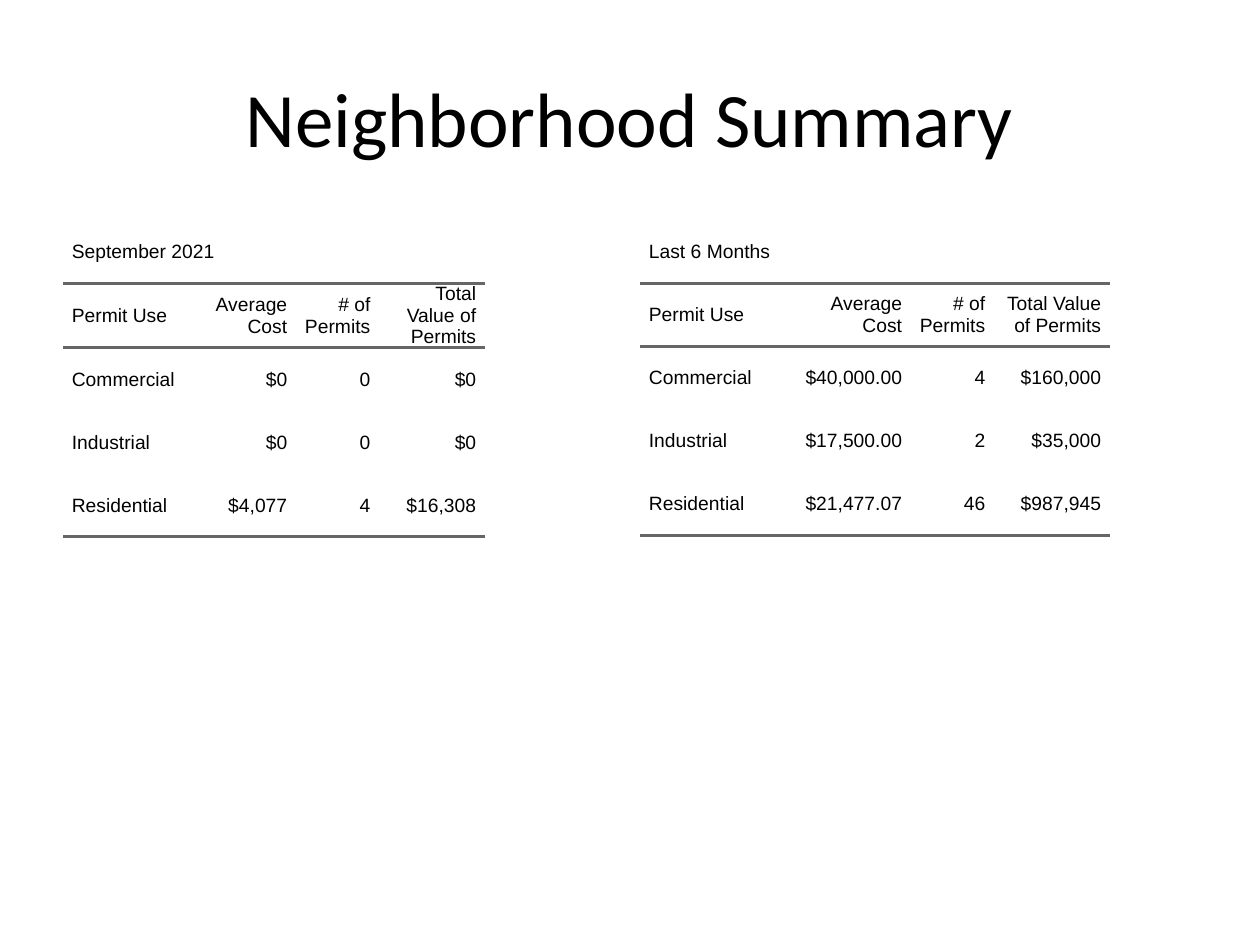
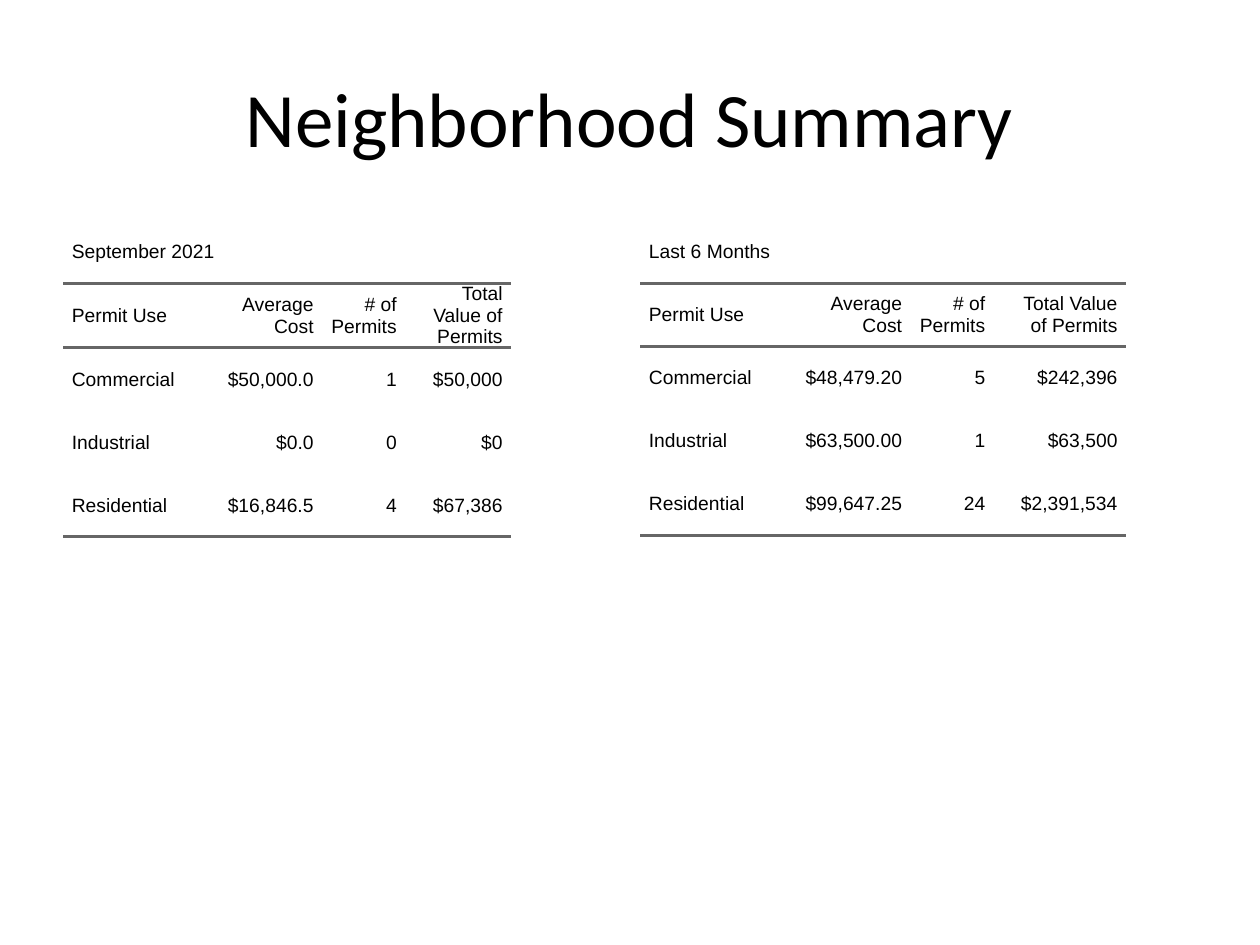
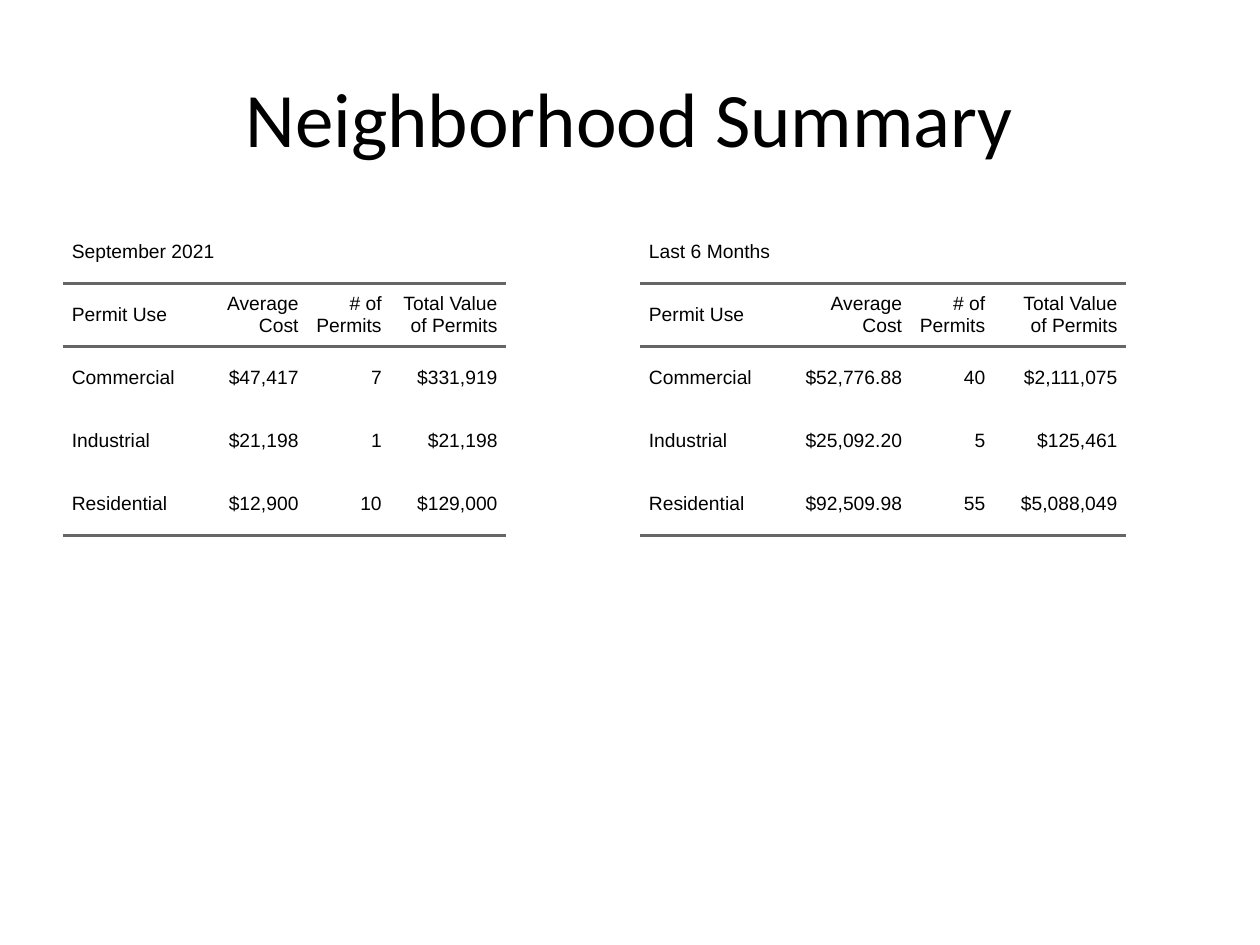
"""Build three neighborhood permit summaries, each with a monthly and a six-month table."""
from lxml import etree
from pptx import Presentation
from pptx.dml.color import RGBColor
from pptx.enum.text import MSO_ANCHOR, PP_ALIGN
from pptx.oxml.ns import qn
from pptx.util import Inches, Pt

LEFT, CENTER, RIGHT = PP_ALIGN.LEFT, PP_ALIGN.CENTER, PP_ALIGN.RIGHT
MIDDLE = MSO_ANCHOR.MIDDLE
BLACK = RGBColor(0x00, 0x00, 0x00)
RULE_GRAY = RGBColor(0x66, 0x66, 0x66)
NO_STYLE = "{2D5ABB26-0587-4C30-8999-92F81FD0307C}"

TITLE_BOX = {"left": Inches(0.5), "top": Inches(0.3), "width": Inches(9), "height": Inches(1.25)}
TITLE_FONT = {"name": "Calibri", "size": Pt(44)}
CELL_FONT = {"name": "Arial", "size": Pt(11)}
CELL_FORMAT = {"margin_left": 0, "margin_right": 0, "margin_top": 0, "margin_bottom": 0,
               "vertical_anchor": MIDDLE}
TABLE_FLAGS = {"first_row": False, "horz_banding": False}
TABLE_TOP = Inches(1.75)
FRAME_SIZE = {"width": Inches(4.42), "height": Inches(4.95)}
ROW_HEIGHT = Inches(0.5)
CELL_INDENT = Inches(0.07)
RULE_WIDTH = Pt(2)

PERIODS = [("September 2021", 0.5), ("Last 6 Months", 5.08)]
HEADINGS = ["Permit Use", "Average Cost", "# of Permits", "Total Value of Permits"]
USES = ["Commercial", "Industrial", "Residential"]
ROW_RULES = {1: ["a:lnT", "a:lnB"], 4: ["a:lnB"]}

NEIGHBORHOODS = [
    [
        ([1.1, 0.75, 0.66, 0.84],
         [("$0", "0", "$0"), ("$0", "0", "$0"), ("$4,077", "4", "$16,308")]),
        ([1.1, 1.05, 0.66, 0.92],
         [("$40,000.00", "4", "$160,000"), ("$17,500.00", "2", "$35,000"),
          ("$21,477.07", "46", "$987,945")]),
    ],
    [
        ([1.1, 0.96, 0.66, 0.84],
         [("$50,000.0", "1", "$50,000"), ("$0.0", "0", "$0"), ("$16,846.5", "4", "$67,386")]),
        ([1.1, 1.05, 0.66, 1.05],
         [("$48,479.20", "5", "$242,396"), ("$63,500.00", "1", "$63,500"),
          ("$99,647.25", "24", "$2,391,534")]),
    ],
    [
        ([1.1, 0.84, 0.66, 0.92],
         [("$47,417", "7", "$331,919"), ("$21,198", "1", "$21,198"),
          ("$12,900", "10", "$129,000")]),
        ([1.1, 1.05, 0.66, 1.05],
         [("$52,776.88", "40", "$2,111,075"), ("$25,092.20", "5", "$125,461"),
          ("$92,509.98", "55", "$5,088,049")]),
    ],
]


def set_attributes(target, values):
    for name, value in values.items():
        setattr(target, name, value)


def format_cell(cell, text, alignment, rules):
    cell.text = text
    set_attributes(cell, CELL_FORMAT)
    paragraph = cell.text_frame.paragraphs[0]
    paragraph.alignment = alignment
    paragraph.space_after = Pt(5)
    properties = paragraph._p.get_or_add_pPr()
    for side in ("marL", "marR"):
        properties.set(side, str(CELL_INDENT))
    properties.set("indent", "0")
    font = paragraph.runs[0].font
    set_attributes(font, CELL_FONT)
    font.color.rgb = BLACK
    cell_properties = cell._tc.get_or_add_tcPr()
    for rule in rules:
        line = etree.SubElement(cell_properties, qn(rule), w=str(RULE_WIDTH))
        fill = etree.SubElement(line, qn("a:solidFill"))
        etree.SubElement(fill, qn("a:srgbClr"), val=str(RULE_GRAY))
    cell.fill.background()


presentation = Presentation()
presentation.slide_width = Inches(10)
presentation.slide_height = Inches(7.5)
title_only = presentation.slide_layouts.get_by_name("Title Only")

for summaries in NEIGHBORHOODS:
    slide = presentation.slides.add_slide(title_only)
    title = slide.shapes.title
    set_attributes(title, TITLE_BOX)
    title.text_frame.text = "Neighborhood Summary"
    title.text_frame.vertical_anchor = MIDDLE
    paragraph = title.text_frame.paragraphs[0]
    paragraph.alignment = CENTER
    set_attributes(paragraph.runs[0].font, TITLE_FONT)
    paragraph.runs[0].font.color.rgb = BLACK

    for (period, left), (widths, figures) in zip(PERIODS, summaries):
        rows = [[period], HEADINGS] + [[use, *values] for use, values in zip(USES, figures)]
        shape = slide.shapes.add_table(len(rows), len(HEADINGS), Inches(left), TABLE_TOP,
                                       Inches(sum(widths)), ROW_HEIGHT * len(rows))
        shape.element.xpath(".//a:tableStyleId")[0].text = NO_STYLE
        table = shape.table
        set_attributes(table, TABLE_FLAGS)
        for column, width in zip(table.columns, widths):
            column.width = Inches(width)
        table.cell(0, 0).merge(table.cell(0, len(HEADINGS) - 1))
        for row_index, row in enumerate(rows):
            table.rows[row_index].height = ROW_HEIGHT
            for column_index, text in enumerate(row):
                alignment = RIGHT if column_index else LEFT
                format_cell(table.cell(row_index, column_index), text, alignment,
                            ROW_RULES.get(row_index, []))
        set_attributes(shape, FRAME_SIZE)

presentation.save("out.pptx")
